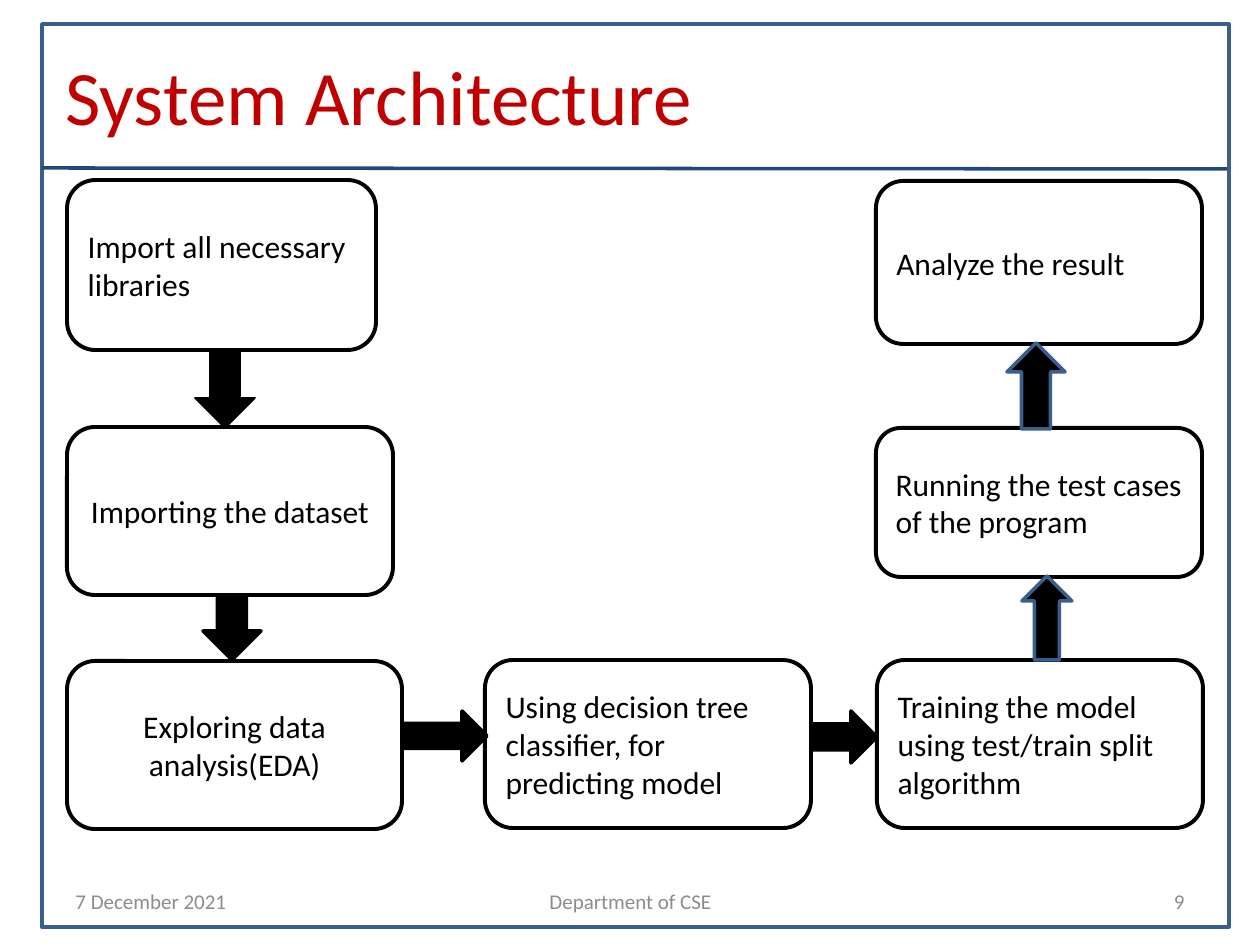
from dataclasses import dataclass

from lxml.etree import SubElement
from pptx import Presentation
from pptx.dml.color import RGBColor
from pptx.enum.shapes import MSO_CONNECTOR, MSO_SHAPE as Preset
from pptx.enum.text import MSO_ANCHOR as Anchor, PP_ALIGN as Align
from pptx.oxml.ns import qn
from pptx.util import Emu, Pt

PX_PER_INCH = 126
FONT = "Calibri"
COLORS = {
    "black": "000000",
    "white": "FFFFFF",
    "title": "C00000",
    "footer": "8C8C8C",
    "frame": "3A5F8C",
    "rule": "1F497D",
}


@dataclass(frozen=True)
class Area:
    left: int
    top: int
    width: int
    height: int


@dataclass(frozen=True)
class Label:
    text: str
    area: Area
    size: int
    color: str
    align: Align = Align.LEFT


@dataclass(frozen=True)
class Step:
    text: str
    area: Area
    align: Align = Align.LEFT


@dataclass(frozen=True)
class Arrow:
    preset: Preset
    area: Area
    line: str = "black"
    weight: int = 2


FRAME = Area(42, 24, 1187, 903)

LABELS = [
    Label("7 December 2021", Area(63, 876, 294, 50), 12, "footer"),
    Label("Department of CSE", Area(431, 876, 399, 50), 12, "footer", Align.CENTER),
    Label("9", Area(903, 876, 294, 50), 12, "footer", Align.RIGHT),
    Label("System Architecture", Area(53, 53, 1134, 84), 44, "title"),
]

STEPS = [
    Step("Import all necessary libraries", Area(67, 180, 309, 170)),
    Step("Importing the dataset", Area(67, 427, 326, 168), Align.CENTER),
    Step("Exploring data analysis(EDA)", Area(67, 661, 335, 168), Align.CENTER),
    Step("Using decision tree classifier, for predicting model", Area(485, 660, 326, 168)),
    Step("Training the model using test/train split algorithm", Area(877, 660, 326, 168)),
    Step("Running the test cases of the program", Area(876, 428, 326, 149)),
    Step("Analyze the result", Area(876, 181, 326, 163)),
]

ARROWS = [
    Arrow(Preset.DOWN_ARROW, Area(195, 350, 60, 78), weight=1),
    Arrow(Preset.DOWN_ARROW, Area(203, 596, 58, 64)),
    Arrow(Preset.RIGHT_ARROW, Area(403, 711, 84, 50)),
    Arrow(Preset.RIGHT_ARROW, Area(811, 711, 66, 52)),
    Arrow(Preset.UP_ARROW, Area(1022, 576, 50, 84), "frame"),
    Arrow(Preset.UP_ARROW, Area(1007, 343, 58, 86), "frame"),
]


def px(value: int) -> Emu:
    return Emu(round(value * 914400 / PX_PER_INCH))


def bounds(area: Area) -> list[Emu]:
    return [px(value) for value in (area.left, area.top, area.width, area.height)]


def rgb(name: str) -> RGBColor:
    return RGBColor.from_string(COLORS[name])


def set_text(shape, text: str, size: int, color: str, align: Align) -> None:
    text_frame = shape.text_frame
    text_frame.text = text
    text_frame.word_wrap = True
    text_frame.vertical_anchor = Anchor.MIDDLE
    paragraph = text_frame.paragraphs[0]
    paragraph.alignment = align
    font = paragraph.runs[0].font
    font.name = FONT
    font.size = Pt(size)
    font.color.rgb = rgb(color)


def add_outlined(slide, preset: Preset, area: Area, fill: str | None, line: str, weight: float):
    shape = slide.shapes.add_shape(preset, *bounds(area))
    shape.shadow.inherit = False
    if fill is None:
        shape.fill.background()
    else:
        shape.fill.solid()
        shape.fill.fore_color.rgb = rgb(fill)
    shape.line.color.rgb = rgb(line)
    shape.line.width = Pt(weight)
    return shape


def add_rule(slide) -> None:
    rule = slide.shapes.add_connector(
        MSO_CONNECTOR.STRAIGHT, px(42), px(168), px(1227), px(169)
    )
    rule.line.color.rgb = rgb("rule")
    rule.line.width = Pt(2)
    SubElement(rule._element.spPr, qn("a:effectLst"))


def add_label(slide, label: Label) -> None:
    shape = slide.shapes.add_textbox(*bounds(label.area))
    set_text(shape, label.text, label.size, label.color, label.align)


def add_step(slide, step: Step) -> None:
    shape = add_outlined(slide, Preset.ROUNDED_RECTANGLE, step.area, "white", "black", 2.25)
    set_text(shape, step.text, 18, "black", step.align)


def add_arrow(slide, arrow: Arrow) -> None:
    add_outlined(slide, arrow.preset, arrow.area, "black", arrow.line, arrow.weight)


def main() -> None:
    presentation = Presentation()
    presentation.slide_width = px(1260)
    presentation.slide_height = px(945)
    slide = presentation.slides.add_slide(presentation.slide_layouts[6])

    add_outlined(slide, Preset.RECTANGLE, FRAME, None, "frame", 2)
    add_rule(slide)
    for label in LABELS:
        add_label(slide, label)
    for step in STEPS:
        add_step(slide, step)
    for arrow in ARROWS:
        add_arrow(slide, arrow)

    presentation.save("out.pptx")


if __name__ == "__main__":
    main()
